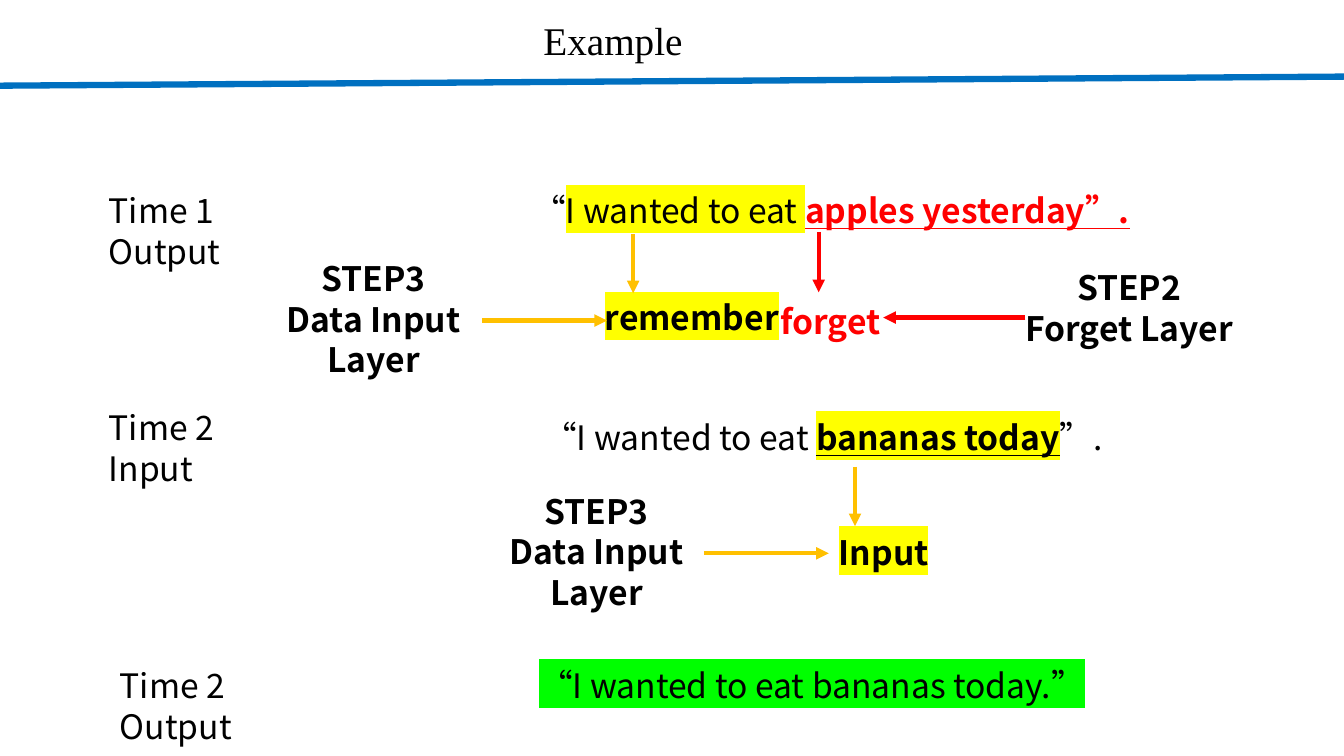
from lxml.etree import SubElement
from pptx import Presentation
from pptx.dml.color import RGBColor
from pptx.enum.shapes import MSO_CONNECTOR
from pptx.enum.text import MSO_ANCHOR, PP_ALIGN
from pptx.oxml import parse_xml
from pptx.oxml.ns import nsdecls, qn
from pptx.util import Inches, Pt

COLORS = {"black": "000000", "blue": "0070C0", "red": "FF0000",
          "gold": "FFC000", "yellow": "FFFF00", "green": "00FF00"}
FONT = "Noto Sans CJK SC"
STYLES = {
    "plain": {},
    "bold": {"bold": True},
    "keep": {"mark": "yellow"},
    "drop": {"color": "red", "bold": True, "line": True},
    "red": {"color": "red", "bold": True},
    "new": {"bold": True, "line": True, "mark": "yellow"},
    "tag": {"bold": True, "mark": "yellow"},
    "done": {"mark": "green"},
}

TITLE = "Example"
LABELS = [
    (0.98, 1.8, ["Time 1", "Output"]),
    (0.98, 3.95, ["Time 2", "Input"]),
    (1.09, 6.51, ["Time 2", "Output"]),
]
PHRASES = [
    (5.18, 1.8, 7.18, [("“", "plain"), ("I wanted to eat ", "keep"),
                       ("apples yesterday”.", "drop")]),
    (5.29, 4.05, 5.92, [("“I wanted to eat ", "plain"),
                        ("bananas today", "new"), ("”.", "plain")]),
    (5.25, 6.51, 6.99, [("“I wanted to eat bananas today.”", "done")]),
    (7.64, 2.9, 1.28, [("forget", "red")]),
    (5.9, 2.86, 2.19, [("remember", "tag")]),
    (8.22, 5.19, 1.55, [("Input", "tag")]),
]
STEPS = [
    (9.47, 2.56, 3.46, ["STEP2", "Forget Layer"]),
    (1.96, 2.47, 3.49, ["STEP3", "Data Input", "Layer"]),
    (4.17, 4.78, 3.49, ["STEP3", "Data Input", "Layer"]),
]
ARROWS = [
    (8.12, 2.3, 8.12, 2.9, "red"),
    (10.17, 3.15, 8.76, 3.15, "red"),
    (6.28, 2.32, 6.28, 2.91, "gold"),
    (4.78, 3.18, 6.02, 3.18, "gold"),
    (8.48, 4.63, 8.48, 5.22, "gold"),
    (6.98, 5.49, 8.22, 5.49, "gold"),
]


def rgb(name):
    return RGBColor.from_string(COLORS[name])


def dress(run, color="black", bold=False, line=False, mark=None):
    font = run.font
    font.size = Pt(24)
    font.name = FONT
    font.bold = bold
    font.underline = line
    font.color.rgb = rgb(color)
    props = run._r.get_or_add_rPr()
    props.find(qn("a:latin")).addnext(
        parse_xml(f'<a:ea {nsdecls("a")} typeface="{FONT}"/>'))
    if mark:
        props.find(qn("a:solidFill")).addnext(parse_xml(
            f'<a:highlight {nsdecls("a")}>'
            f'<a:srgbClr val="{COLORS[mark]}"/></a:highlight>'))


def write(slide, left, top, width, rows, align=PP_ALIGN.LEFT):
    high = 0.1 + 0.405 * len(rows)
    box = slide.shapes.add_textbox(
        Inches(left), Inches(top), Inches(width), Inches(high))
    frame = box.text_frame
    frame.word_wrap = True
    frame.margin_top = Inches(0.08)
    frame.margin_bottom = Inches(0.02)
    for i, row in enumerate(rows):
        para = frame.add_paragraph() if i else frame.paragraphs[0]
        para.alignment = align
        para.line_spacing = Pt(29.2)
        for text, style in row:
            run = para.add_run()
            run.text = text
            dress(run, **STYLES[style])


def draw(slide, x1, y1, x2, y2, color, width=3, head=True):
    line = slide.shapes.add_connector(
        MSO_CONNECTOR.STRAIGHT, Inches(x1), Inches(y1), Inches(x2), Inches(y2))
    line.line.color.rgb = rgb(color)
    line.line.width = Pt(width)
    if head:
        SubElement(line.line._get_or_add_ln(), qn("a:tailEnd"), type="triangle")
    SubElement(line._element.spPr, qn("a:effectLst"))


def main():
    deck = Presentation()
    deck.slide_width = Inches(13.33)
    deck.slide_height = Inches(7.5)
    slide = deck.slides.add_slide(deck.slide_layouts[5])

    title = slide.shapes.title
    title.left, title.top = Inches(5.29), Inches(0.11)
    title.width, title.height = Inches(1.6), Inches(0.57)
    frame = title.text_frame
    frame.text = TITLE
    frame.word_wrap = False
    frame.vertical_anchor = MSO_ANCHOR.TOP
    para = frame.paragraphs[0]
    para.alignment = PP_ALIGN.LEFT
    font = para.runs[0].font
    font.name = "Times New Roman"
    font.size = Pt(28)
    font.color.rgb = rgb("black")

    draw(slide, 0, 0.85, 13.33, 0.76, "blue", 4.5, False)
    for left, top, rows in LABELS:
        write(slide, left, top, 1.46, [[(row, "plain")] for row in rows])
    for left, top, width, row in PHRASES:
        write(slide, left, top, width, [row])
    for left, top, width, rows in STEPS:
        write(slide, left, top, width, [[(row, "bold")] for row in rows],
              PP_ALIGN.CENTER)
    for arrow in ARROWS:
        draw(slide, *arrow)
    deck.save("out.pptx")


if __name__ == "__main__":
    main()
